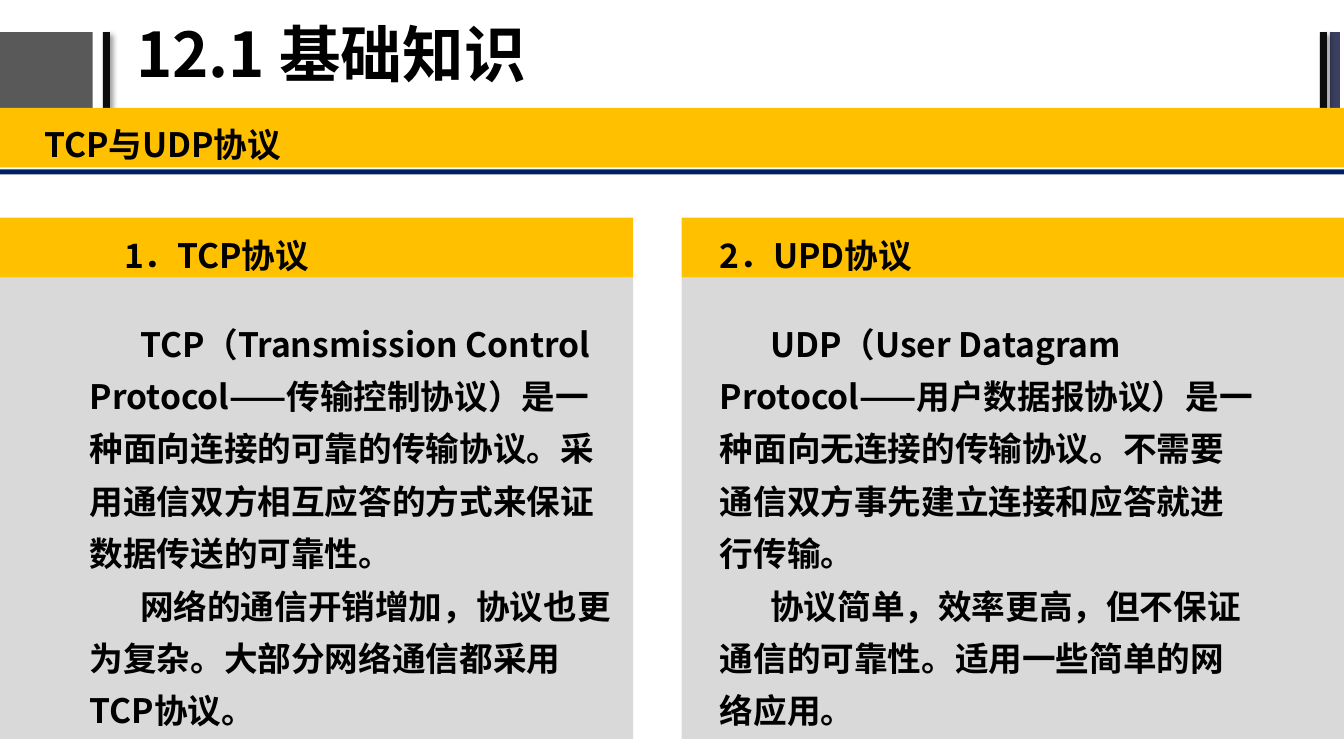
from lxml.etree import SubElement
from pptx import Presentation
from pptx.dml.color import RGBColor
from pptx.enum.shapes import MSO_SHAPE
from pptx.enum.text import MSO_ANCHOR, MSO_AUTO_SIZE, PP_ALIGN
from pptx.oxml.ns import qn
from pptx.util import Inches, Pt

FONT = "Noto Sans CJK SC"
COLORS = {
    "text": "000000",
    "block": "595959",
    "bar": "0D0D0D",
    "edge": "3B3F60",
    "rule": "002060",
    "band": "FFC000",
    "panel": "D9D9D9",
}
TCP_TEXT = [
    "TCP（Transmission Control Protocol——传输控制协议）是一种面向连接的可靠的传输协议。"
    "采用通信双方相互应答的方式来保证数据传送的可靠性。",
    "网络的通信开销增加，协议也更为复杂。大部分网络通信都采用TCP协议。",
]
UDP_TEXT = [
    "UDP（User Datagram Protocol——用户数据报协议）是一种面向无连接的传输协议。"
    "不需要通信双方事先建立连接和应答就进行传输。",
    "协议简单，效率更高，但不保证通信的可靠性。适用一些简单的网络应用。",
]


def add_block(slide, left, top, width, height, color):
    """Add a plain filled rectangle."""
    block = slide.shapes.add_shape(
        MSO_SHAPE.RECTANGLE, Inches(left), Inches(top), Inches(width), Inches(height))
    block.shadow.inherit = False
    block.fill.solid()
    block.fill.fore_color.rgb = RGBColor.from_string(COLORS[color])
    block.line.fill.background()
    return block


def add_shadow(block):
    """Give a block a soft shadow towards the lower right."""
    effects = block.element.spPr.find(qn("a:effectLst"))
    shadow = SubElement(effects, qn("a:outerShdw"), blurRad=str(Pt(4)), dist=str(Pt(3)),
                        dir="2700000", algn="tl", rotWithShape="0")
    tint = SubElement(shadow, qn("a:srgbClr"), val=COLORS["text"])
    SubElement(tint, qn("a:alpha"), val="40000")


def write_text(frame, paragraphs, size=24, spacing=1.2, indent=0):
    """Fill a text frame with bold, left-aligned paragraphs."""
    frame.word_wrap = True
    frame.auto_size = MSO_AUTO_SIZE.NONE
    for index, words in enumerate(paragraphs):
        paragraph = frame.add_paragraph() if index else frame.paragraphs[0]
        paragraph.alignment = PP_ALIGN.LEFT
        paragraph.line_spacing = spacing
        if indent:
            properties = paragraph._p.get_or_add_pPr()
            properties.set("marL", "0")
            properties.set("indent", str(Inches(indent)))
        run = paragraph.add_run()
        run.text = words
        run.font.size = Pt(size)
        run.font.bold = True
        run.font.name = FONT
        run.font.color.rgb = RGBColor.from_string(COLORS["text"])
        SubElement(run._r.get_or_add_rPr(), qn("a:ea"), typeface=FONT)


def add_text(slide, left, top, width, height, paragraphs, **text_format):
    """Add a text box with the slide's common margins."""
    frame = slide.shapes.add_textbox(
        Inches(left), Inches(top), Inches(width), Inches(height)).text_frame
    frame.margin_left = frame.margin_right = Inches(0.13)
    frame.margin_top = frame.margin_bottom = Inches(0.07)
    write_text(frame, paragraphs, **text_format)


def add_header(slide):
    """Add the decorative blocks, the title and the topic band."""
    for left, width, color in [(-0.02, 0.94, "block"), (1.02, 0.07, "bar"),
                               (13.19, 0.1, "edge"), (13.09, 0.07, "bar")]:
        block = add_block(slide, left, 0.32, width, 0.76, color)
        if color == "bar":
            add_shadow(block)
    title = slide.shapes.title
    title.left, title.top = Inches(1.25), Inches(0.02)
    title.width, title.height = Inches(8.47), Inches(1.1)
    title.text_frame.vertical_anchor = MSO_ANCHOR.MIDDLE
    write_text(title.text_frame, ["12.1 基础知识"], size=44, spacing=0.9)
    add_block(slide, 0, 1.68, 13.33, 0.05, "rule")
    add_block(slide, -0.04, 1.07, 13.4, 0.59, "band")
    add_text(slide, 0.31, 1.08, 13.06, 0.58, ["TCP与UDP协议"])


def add_protocol(slide, panel, heading, body):
    """Add one protocol column; each part is given as left, width and content."""
    left, width = panel
    add_block(slide, left, 2.75, width, 4.58, "panel")
    add_block(slide, left, 2.16, width, 0.59, "band")
    heading_left, heading_width, heading_text = heading
    add_text(slide, heading_left, 2.18, heading_width, 0.58, [heading_text])
    body_left, body_width, body_text = body
    add_text(slide, body_left, 3.02, body_width, 4.31, body_text, spacing=1.3, indent=0.5)


def main():
    """Build and save the slide."""
    presentation = Presentation()
    presentation.slide_width = Inches(13.33)
    presentation.slide_height = Inches(7.5)
    slide = presentation.slides.add_slide(presentation.slide_layouts[5])
    add_header(slide)
    add_protocol(slide, (0, 6.28), (1.1, 5.18, "1．TCP协议"), (0.76, 5.52, TCP_TEXT))
    add_protocol(slide, (6.76, 6.58), (7.01, 3.93, "2．UPD协议"), (7.01, 5.59, UDP_TEXT))
    presentation.save("out.pptx")


if __name__ == "__main__":
    main()
